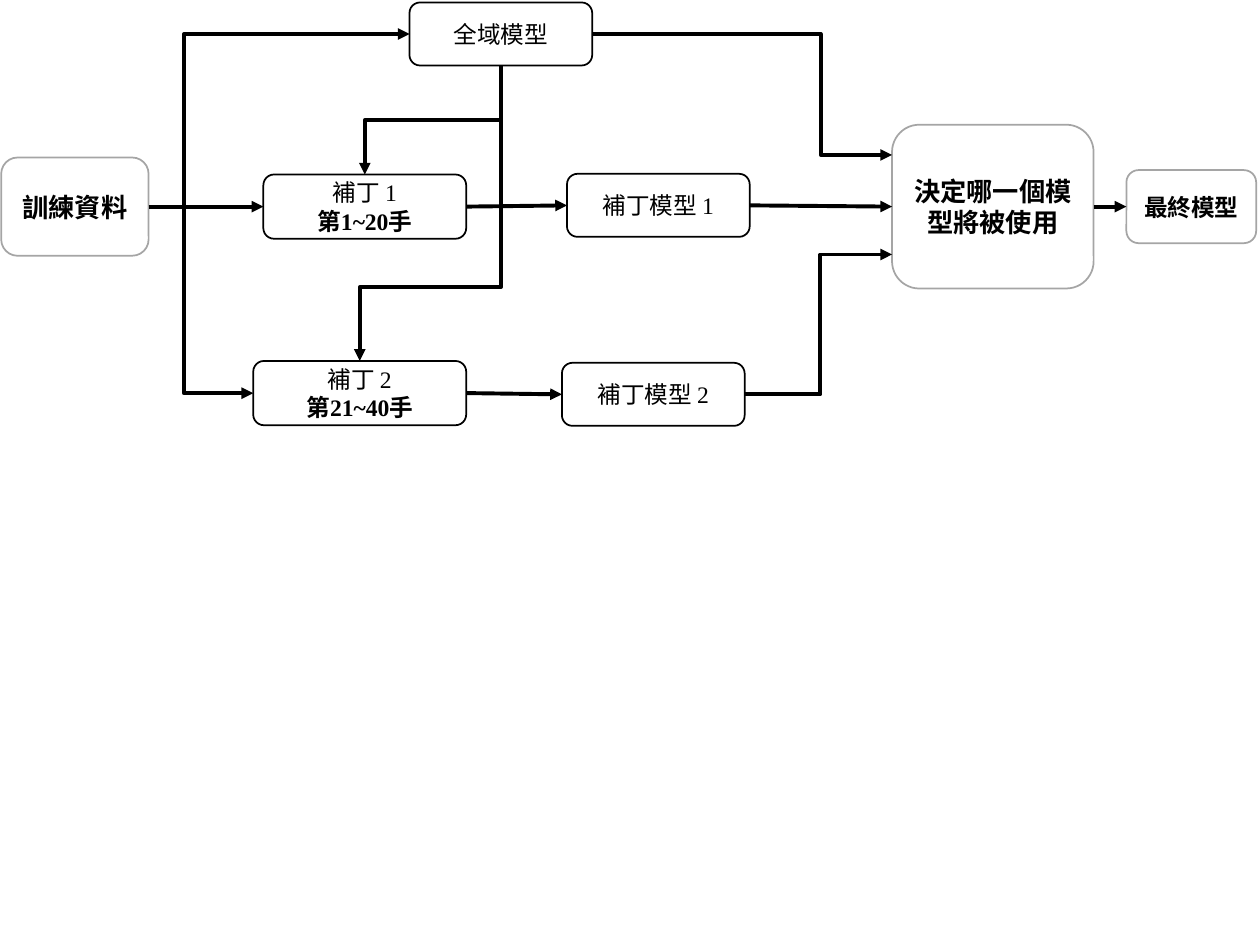
from dataclasses import dataclass

from lxml import etree
from pptx import Presentation
from pptx.dml.color import RGBColor
from pptx.enum.shapes import MSO_CONNECTOR, MSO_SHAPE
from pptx.enum.text import MSO_ANCHOR, PP_ALIGN
from pptx.oxml.ns import qn
from pptx.util import Inches, Pt

ROUNDED = MSO_SHAPE.ROUNDED_RECTANGLE
STRAIGHT, ELBOW = MSO_CONNECTOR.STRAIGHT, MSO_CONNECTOR.ELBOW
MIDDLE, CENTER = MSO_ANCHOR.MIDDLE, PP_ALIGN.CENTER


@dataclass(frozen=True)
class Theme:
    font: str = "Times New Roman"
    ink: RGBColor = RGBColor(0, 0, 0)
    paper: RGBColor = RGBColor(255, 255, 255)
    gray: RGBColor = RGBColor(0xA5, 0xA5, 0xA5)
    large: float = 15
    normal: float = 13.5
    outline: float = 1
    arrow: float = 2.25


theme = Theme()
deck = Presentation()
deck.slide_width, deck.slide_height = Inches(10), Inches(7.5)
page = deck.slides.add_slide(deck.slide_layouts[6])
column = deck.slide_width / 10
row = deck.slide_height / 7.5


def add_text(para, text, size=theme.normal, bold=False, color=theme.ink):
    para.alignment = CENTER
    span = para.add_run()
    span.text = text
    span.font.name = theme.font
    span.font.size = Pt(size)
    span.font.bold = bold
    span.font.color.rgb = color


def add_arrow(start, end, preset=None, bend=None, downward=False):
    """Draw an arrow; a downward one leaves its start vertically."""
    (x1, y1), (x2, y2) = start, end
    if downward:  # a quarter turn about the centre
        mid_x, mid_y = (x1 + x2) / 2, (y1 + y2) / 2
        half_x, half_y = (x2 - x1) / 2, (y2 - y1) / 2
        x1, x2 = mid_x - half_y, mid_x + half_y
        y1, y2 = mid_y + half_x, mid_y - half_x
    arrow = page.shapes.add_connector(
        ELBOW if preset else STRAIGHT,
        round(x1 * column), round(y1 * row), round(x2 * column), round(y2 * row))
    arrow.line.color.rgb = theme.ink
    arrow.line.width = Pt(theme.arrow)
    etree.SubElement(arrow.line._get_or_add_ln(), qn("a:tailEnd"), type="triangle")
    properties = arrow._element.spPr
    etree.SubElement(properties, qn("a:effectLst"))
    if downward:
        properties.find(qn("a:xfrm")).set("rot", "5400000")
    if preset:
        geometry = properties.find(qn("a:prstGeom"))
        geometry.set("prst", preset)
        if bend:
            etree.SubElement(geometry.find(qn("a:avLst")), qn("a:gd"),
                             name="adj1", fmla=f"val {round(bend * 100000)}")


# Rows of the flow, by their centre lines
top, middle, bottom = 0.27, 1.64, 3.12

# Boxes: left, centre line, width, height, outline, lines of (text, size, bold)
boxes = {
    "data": (0.01, middle, 1.17, 0.78, theme.gray, [("訓練資料", theme.large, True)]),
    "final": (8.94, middle, 1.03, 0.58, theme.gray, [("最終模型", theme.normal, True)]),
    "global": (3.25, top, 1.45, 0.5, theme.ink, [("全域模型", theme.normal, False)]),
    "model 1": (4.5, 1.63, 1.45, 0.5, theme.ink, [("補丁模型 1", theme.normal, False)]),
    "model 2": (4.46, 3.13, 1.45, 0.5, theme.ink, [("補丁模型 2", theme.normal, False)]),
    "patch 1": (2.09, middle, 1.61, 0.51, theme.ink,
                [("補丁 1", theme.normal, False), ("第1~20手", theme.normal, True)]),
    "patch 2": (2.01, bottom, 1.69, 0.51, theme.ink,
                [("補丁 2", theme.normal, False), ("第21~40手", theme.normal, True)]),
    "decision": (7.08, middle, 1.6, 1.3, theme.gray,
                 [("決定哪一個模型將被使用", theme.large, True)]),
}
west, east, north, south = {}, {}, {}, {}
for name, (left, center, width, height, outline, lines) in boxes.items():
    box = page.shapes.add_shape(
        ROUNDED, round(left * column), round((center - height / 2) * row),
        round(width * column), round(height * row))
    box.shadow.inherit = False
    box.fill.solid()
    box.fill.fore_color.rgb = theme.paper
    box.line.color.rgb = outline
    box.line.width = Pt(theme.outline)
    frame = box.text_frame
    frame.word_wrap = True
    frame.vertical_anchor = MIDDLE
    for number, (text, size, bold) in enumerate(lines):
        para = frame.add_paragraph() if number else frame.paragraphs[0]
        add_text(para, text, size=size, bold=bold)
    west[name], east[name] = (left, center), (left + width, center)
    north[name] = (left + width / 2, center - height / 2)
    south[name] = (left + width / 2, center + height / 2)

# Straight arrows along the rows
for source, target in [("data", "patch 1"), ("patch 1", "model 1"),
                       ("patch 2", "model 2"), ("model 1", "decision"),
                       ("decision", "final")]:
    add_arrow(east[source], west[target])

# Training data branches to the global model and the second patch
branch = 1.46
add_arrow((branch, 2.15), west["global"], preset="bentConnector2", downward=True)
add_arrow((branch, middle), west["patch 2"], preset="bentConnector2", downward=True)

# The global model feeds both patches
for patch, bend in [("patch 1", 0.5), ("patch 2", 0.75)]:
    add_arrow(south["global"], north[patch], preset="bentConnector3",
              bend=bend, downward=True)

# Outer models enter the decision above and below its middle
for model, entry, bend in [("global", 1.23, 0.762), ("model 2", 2.02, 0.514)]:
    add_arrow(east[model], (west["decision"][0], entry),
              preset="bentConnector3", bend=bend)

deck.save("out.pptx")
